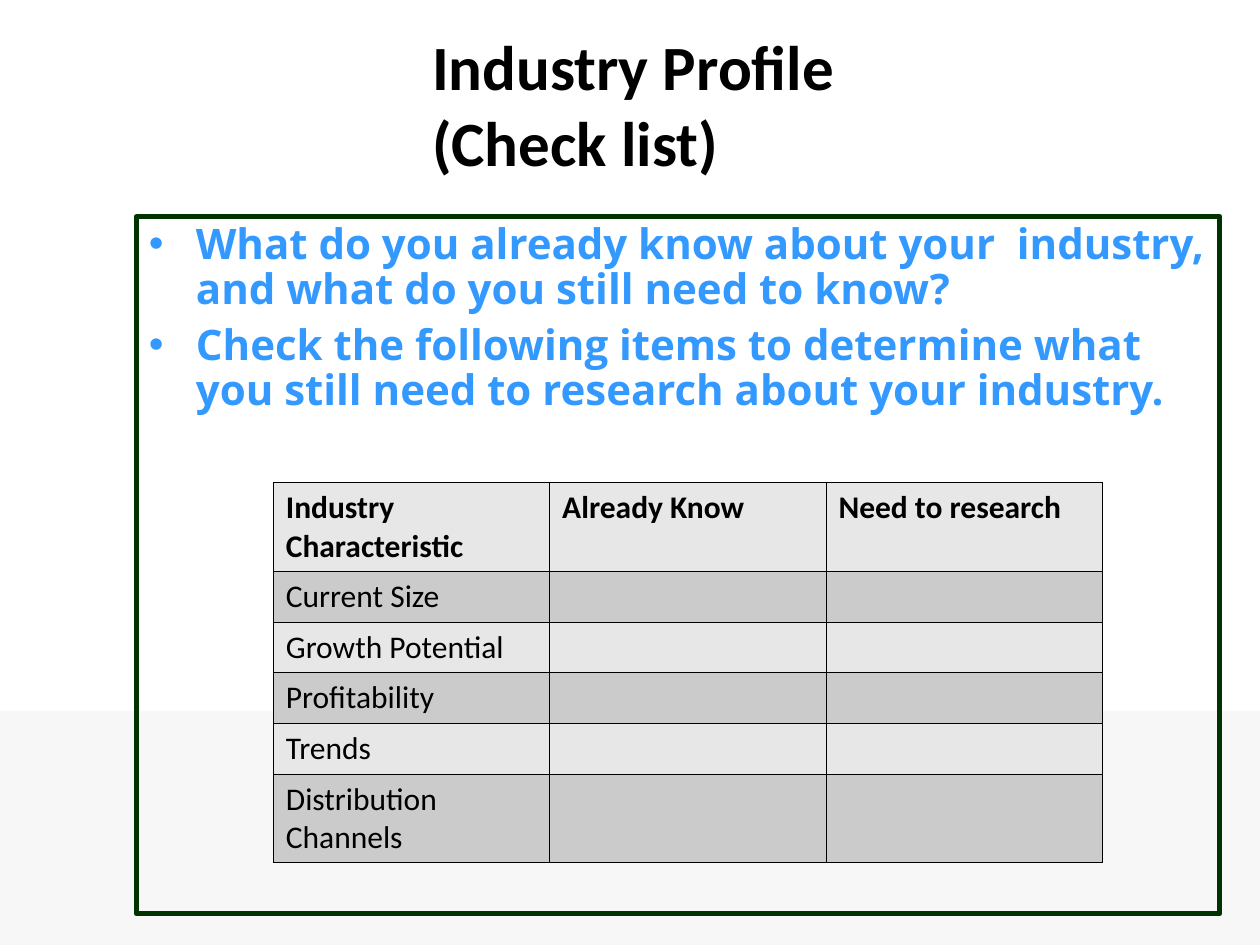
import pptx
import pptx.dml.color
import pptx.enum.shapes
import pptx.enum.text
import pptx.oxml
import pptx.oxml.ns
import pptx.util
from pptx.util import Cm

TITLE_FORMAT = {"name": "Calibri", "size": pptx.util.Pt(36), "bold": True}
BULLET_FORMAT = {"name": "Open Sans", "size": pptx.util.Pt(24), "bold": True}
CELL_FORMAT = {"name": "Calibri", "size": pptx.util.Pt(18), "bold": False}
BULLETS = [
    "What do you already know about your  industry, and what do you still need to know?",
    "Check the following items to determine what you still need to research about your industry.",
]
HEADINGS = ["Industry Characteristic", "Already Know", "Need to research"]
CHARACTERISTICS = ["Current Size", "Growth Potential", "Profitability", "Trends", "Distribution Channels"]
ROW_HEIGHTS = [1.79, 1.02, 1.02, 1.02, 1.02, 1.79]


def color(hex_value):
    """Turn a hex string into a colour."""
    return pptx.dml.color.RGBColor.from_string(hex_value)


def xml_element(markup):
    """Parse markup whose root is in the drawing namespace."""
    namespace = pptx.oxml.ns.nsdecls("a")
    return pptx.oxml.parse_xml(markup.replace(" ", f" {namespace} ", 1))


def format_font(font, values, hex_value):
    """Apply a dict of format values and a colour to a font."""
    for name, value in values.items():
        setattr(font, name, value)
    font.color.rgb = color(hex_value)


def add_rectangle(page, position, fill=None, line=None):
    """Add a rectangle with an optional fill and outline."""
    shape = page.shapes.add_shape(pptx.enum.shapes.MSO_SHAPE.RECTANGLE, *position)
    shape.shadow.inherit = False
    if fill:
        shape.fill.solid()
        shape.fill.fore_color.rgb = color(fill)
    else:
        shape.fill.background()
    if line:
        shape.line.color.rgb = color(line)
        shape.line.width = pptx.util.Pt(3)
    else:
        shape.line.fill.background()
    return shape


def add_title(page, lines, position):
    """Add the title with a line break between its lines."""
    frame = page.shapes.add_textbox(*position).text_frame
    frame.word_wrap = True
    para = frame.paragraphs[0]
    for index, line in enumerate(lines):
        if index:
            para.add_line_break()
        span = para.add_run()
        span.text = line
        format_font(span.font, TITLE_FORMAT, "000000")


def add_bullets(box, texts, hex_value):
    """Fill a box with bulleted paragraphs from its top."""
    frame = box.text_frame
    frame.word_wrap = True
    frame.vertical_anchor = pptx.enum.text.MSO_ANCHOR.TOP
    frame.margin_right = Cm(0.15)
    for index, text in enumerate(texts):
        para = frame.add_paragraph() if index else frame.paragraphs[0]
        para.alignment = pptx.enum.text.PP_ALIGN.LEFT
        para.line_spacing = 0.9
        para.space_before = pptx.util.Pt(6 if index else 0)
        properties = para._p.get_or_add_pPr()
        properties.set("marL", str(Cm(0.95)))
        properties.set("indent", str(-Cm(0.95)))
        properties.append(xml_element(f'<a:buClr ><a:srgbClr val="{hex_value}"/></a:buClr>'))
        properties.append(xml_element('<a:buFont typeface="Arial"/>'))
        properties.append(xml_element('<a:buChar char="•"/>'))
        span = para.add_run()
        span.text = text
        format_font(span.font, BULLET_FORMAT, hex_value)


def style_cell(cell, fill):
    """Give a cell thin black borders and a fill."""
    for side in ("lnL", "lnR", "lnT", "lnB"):
        cell._tc.get_or_add_tcPr().append(xml_element(
            f'<a:{side} w="{pptx.util.Pt(0.45)}"><a:solidFill>'
            f'<a:srgbClr val="000000"/></a:solidFill></a:{side}>'))
    cell.fill.solid()
    cell.fill.fore_color.rgb = color(fill)


def add_checklist(page, position):
    """Add the checklist table with alternating row fills."""
    rows = [HEADINGS] + [[name, "", ""] for name in CHARACTERISTICS]
    table = page.shapes.add_table(len(rows), len(HEADINGS), *position).table
    for row_index, texts in enumerate(rows):
        table.rows[row_index].height = Cm(ROW_HEIGHTS[row_index])
        for column_index, text in enumerate(texts):
            cell = table.cell(row_index, column_index)
            style_cell(cell, "CBCBCB" if row_index % 2 else "E7E7E7")
            para = cell.text_frame.paragraphs[0]
            para.text = text
            format_font(para.font, {**CELL_FORMAT, "bold": row_index == 0}, "000000")


def main():
    """Build the industry profile slide."""
    deck = pptx.Presentation()
    deck.slide_width, deck.slide_height = Cm(25.4), Cm(19.05)
    page = deck.slides.add_slide(deck.slide_layouts[6])
    add_rectangle(page, (0, Cm(14.33), Cm(25.4), Cm(4.72)), fill="F7F7F7")
    add_title(page, ["Industry Profile", "(Check list)"], (Cm(8.46), Cm(0.43), Cm(13.34), Cm(3.3)))
    box = add_rectangle(page, (Cm(2.75), Cm(4.37), Cm(21.84), Cm(14.05)), line="003300")
    add_bullets(box, BULLETS, "3399FF")
    add_checklist(page, (Cm(5.51), Cm(9.73), Cm(16.71), Cm(sum(ROW_HEIGHTS))))
    deck.save("out.pptx")


if __name__ == "__main__":
    main()
